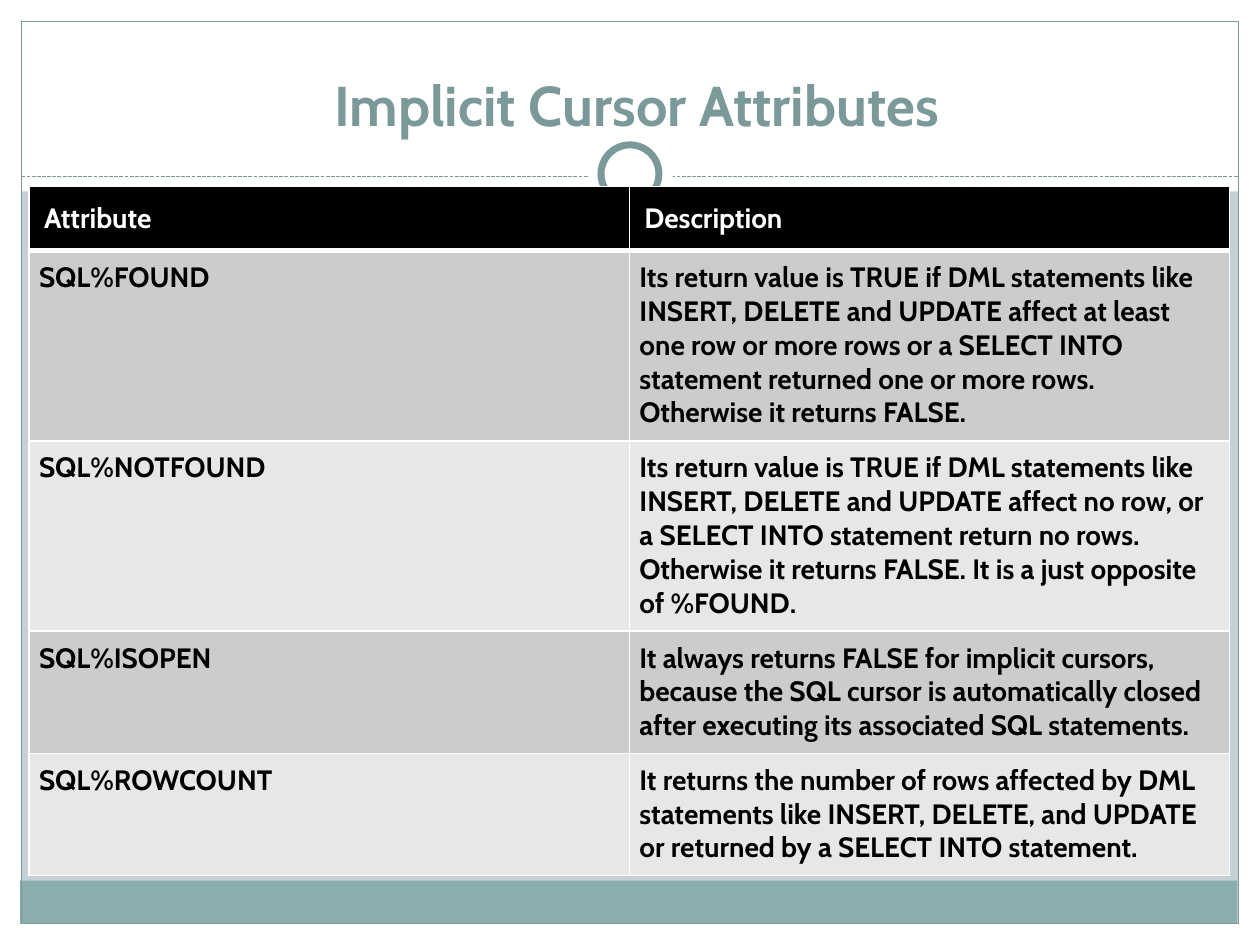
from dataclasses import dataclass

from pptx import Presentation
from pptx.dml.color import RGBColor
from pptx.enum.dml import MSO_LINE
from pptx.enum.shapes import MSO_CONNECTOR, MSO_SHAPE
from pptx.enum.text import MSO_ANCHOR, PP_ALIGN
from pptx.oxml.ns import qn
from pptx.util import Inches, Pt
from lxml.etree import SubElement


@dataclass(frozen=True)
class Theme:
    font: str = "Cabin"
    background: str = "C5D1D7"
    white: str = "FFFFFF"
    black: str = "000000"
    accent: str = "7C999A"
    footer: str = "8CADAE"
    bands: tuple = ("CCCCCC", "E7E7E7")
    title_size: int = 32
    table_size: int = 16


def color(code):
    return RGBColor.from_string(code)


class SlideBuilder:
    def __init__(self, slide, theme):
        self.slide = slide
        self.theme = theme
        fill = slide.background.fill
        fill.solid()
        fill.fore_color.rgb = color(theme.background)

    def shape(self, kind, area, fill=None, line=None, width=0.75):
        shape = self.slide.shapes.add_shape(kind, *map(Inches, area))
        shape.shadow.inherit = False
        if fill:
            shape.fill.solid()
            shape.fill.fore_color.rgb = color(fill)
        else:
            shape.fill.background()
        if line:
            shape.line.color.rgb = color(line)
            shape.line.width = Pt(width)
        else:
            shape.line.fill.background()

    def dashed_line(self, left, right, top):
        line = self.slide.shapes.add_connector(
            MSO_CONNECTOR.STRAIGHT, Inches(left), Inches(top), Inches(right), Inches(top))
        line.line.color.rgb = color(self.theme.accent)
        line.line.width = Pt(0.75)
        line.line.dash_style = MSO_LINE.SQUARE_DOT
        SubElement(line._element.spPr, qn("a:effectLst"))

    def style_text(self, frame, size, code):
        for para in frame.paragraphs:
            for span in para.runs:
                span.font.name = self.theme.font
                span.font.size = Pt(size)
                span.font.bold = True
                span.font.color.rgb = color(code)

    def title(self, text, area):
        box = self.slide.shapes.add_textbox(*map(Inches, area))
        frame = box.text_frame
        frame.word_wrap = True
        frame.vertical_anchor = MSO_ANCHOR.BOTTOM
        frame.text = text
        frame.paragraphs[0].alignment = PP_ALIGN.CENTER
        self.style_text(frame, self.theme.title_size, self.theme.accent)

    def borders(self, cell, bottom):
        properties = cell._tc.get_or_add_tcPr()
        for side, width in (("L", 1), ("R", 1), ("T", 1), ("B", bottom)):
            line = SubElement(properties, qn(f"a:ln{side}"), w=str(Pt(width)))
            fill = SubElement(line, qn("a:solidFill"))
            SubElement(fill, qn("a:srgbClr"), val=self.theme.white)

    def cell(self, cell, text, fill, code, inset, bottom):
        cell.text = text
        cell.margin_left = cell.margin_right = Inches(inset)
        cell.margin_top = cell.margin_bottom = Inches(inset)
        self.style_text(cell.text_frame, self.theme.table_size, code)
        self.borders(cell, bottom)
        cell.fill.solid()
        cell.fill.fore_color.rgb = color(fill)

    def table(self, rows, area, heights):
        theme = self.theme
        table = self.slide.shapes.add_table(
            len(rows), len(rows[0]), *map(Inches, area)).table
        for index, (texts, height) in enumerate(zip(rows, heights)):
            table.rows[index].height = Inches(height)
            if index == 0:
                look = (theme.black, theme.white, 0.12, 3)
            else:
                look = (theme.bands[(index - 1) % 2], theme.black, 0.08, 1)
            for column, text in enumerate(texts):
                self.cell(table.cell(index, column), text, *look)


ROWS = [
    ("Attribute", "Description"),
    ("SQL%FOUND",
     "Its return value is TRUE if DML statements like INSERT, DELETE and UPDATE "
     "affect at least one row or more rows or a SELECT INTO statement returned "
     "one or more rows. Otherwise it returns FALSE."),
    ("SQL%NOTFOUND",
     "Its return value is TRUE if DML statements like INSERT, DELETE and UPDATE "
     "affect no row, or a SELECT INTO statement return no rows. Otherwise it "
     "returns FALSE. It is a just opposite of %FOUND."),
    ("SQL%ISOPEN",
     "It always returns FALSE for implicit cursors, because the SQL cursor is "
     "automatically closed after executing its associated SQL statements."),
    ("SQL%ROWCOUNT",
     "It returns the number of rows affected by DML statements like INSERT, "
     "DELETE, and UPDATE or returned by a SELECT INTO statement."),
]


def main():
    theme = Theme()
    deck = Presentation()
    deck.slide_width, deck.slide_height = Inches(10), Inches(7.5)
    builder = SlideBuilder(deck.slides.add_slide(deck.slide_layouts[6]), theme)

    # White margins and header
    for area in ((0, 7.33, 10, 0.17), (0, 0, 10, 1.52),
                 (0, 0, 0.17, 7.5), (9.83, 0, 0.17, 7.5)):
        builder.shape(MSO_SHAPE.RECTANGLE, area, theme.white)

    # Footer band, frame and divider
    builder.shape(MSO_SHAPE.RECTANGLE, (0.16, 6.99, 9.66, 0.34), theme.footer)
    builder.shape(MSO_SHAPE.RECTANGLE, (0.17, 0.17, 9.66, 7.16), line=theme.accent)
    builder.dashed_line(0.17, 9.83, 1.4)

    # Ring on the divider
    builder.shape(MSO_SHAPE.OVAL, (4.67, 1.05, 0.67, 0.67), theme.white)
    builder.shape(MSO_SHAPE.OVAL, (4.77, 1.15, 0.46, 0.46),
                  theme.white, theme.accent, 4)

    # Title and attribute table
    builder.title("Implicit Cursor Attributes", (0.39, 0.31, 9.33, 0.83))
    builder.table(ROWS, (0.23, 1.48, 9.53, 5.45), (0.51, 1.51, 1.51, 0.97, 0.97))

    deck.save("out.pptx")


if __name__ == "__main__":
    main()
